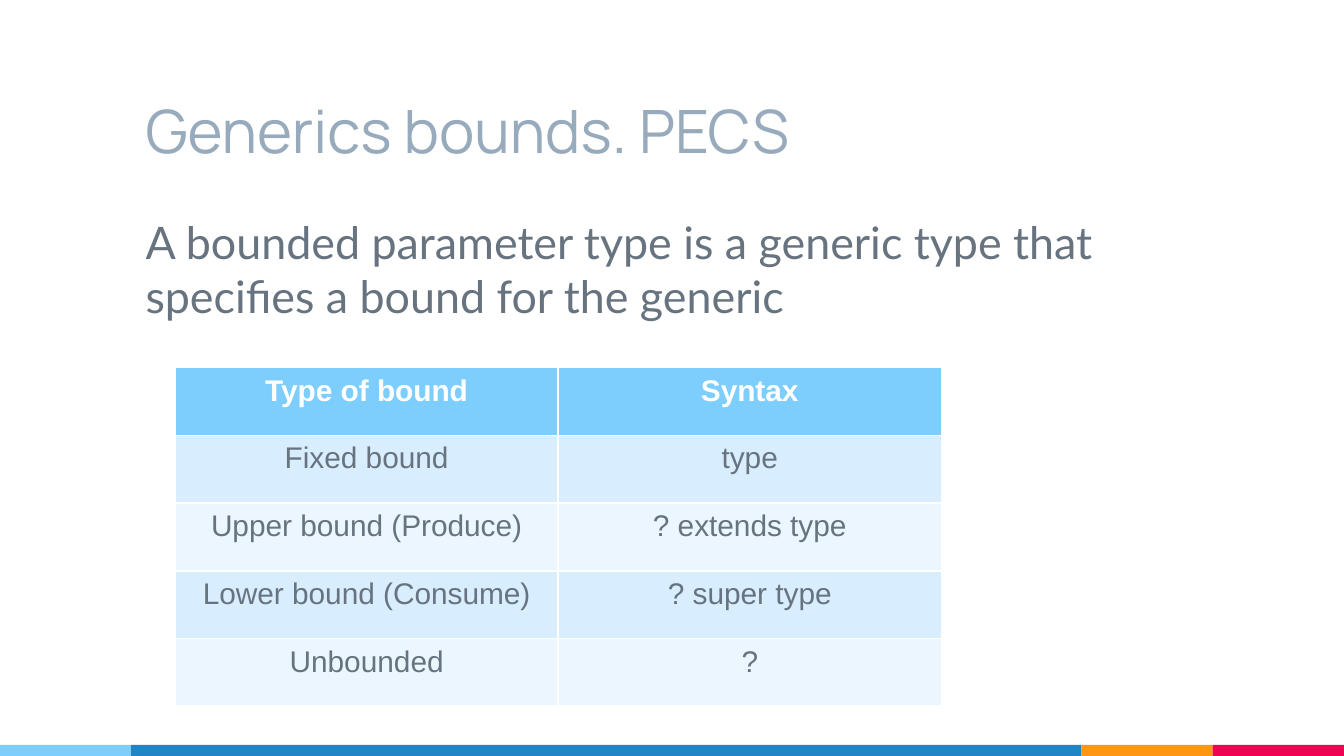
"""Build the slide on generics bounds, with a table of bound types."""
import pptx
import pptx.dml.color
import pptx.enum.shapes
import pptx.enum.text
import pptx.util
import lxml.etree

Cm = pptx.util.Cm
Pt = pptx.util.Pt
ALIGN = pptx.enum.text.PP_ALIGN
ANCHOR = pptx.enum.text.MSO_ANCHOR


def paint(fill, color):
    """Fill with a solid colour given as a hex string."""
    fill.solid()
    fill.fore_color.rgb = pptx.dml.color.RGBColor.from_string(color)


def write(text_frame, text, color, alignment, font_format):
    """Set the text of a frame and format its paragraph."""
    text_frame.text = text
    paragraph = text_frame.paragraphs[0]
    paragraph.alignment = alignment
    font = paragraph.runs[0].font
    for name, value in font_format.items():
        setattr(font, name, value)
    paint(font.fill, color)
    return paragraph


presentation = pptx.Presentation()
presentation.slide_width = Cm(25.4)
presentation.slide_height = Cm(14.29)
slide = presentation.slides.add_slide(presentation.slide_layouts[1])
title, body = slide.placeholders

placements = [
    (title, {"left": Cm(2.5), "top": Cm(1), "width": Cm(17.95), "height": Cm(2.38)}, ANCHOR.BOTTOM),
    (body, {"left": Cm(2.5), "top": Cm(3.81), "width": Cm(21.77), "height": Cm(9.85)}, ANCHOR.TOP),
]
for shape, position, anchor in placements:
    frame_format = {
        "margin_left": Cm(0.25), "margin_right": Cm(0.25),
        "margin_top": Cm(0.25), "margin_bottom": Cm(0.25),
        "vertical_anchor": anchor, "word_wrap": True,
        "auto_size": pptx.enum.text.MSO_AUTO_SIZE.NONE,
    }
    for target, values in [(shape, position), (shape.text_frame, frame_format)]:
        for name, value in values.items():
            setattr(target, name, value)

write(title.text_frame, "Generics bounds. PECS", "97ABBC", ALIGN.LEFT,
      {"name": "Manrope", "size": Pt(32)})
paragraph = write(
    body.text_frame,
    "A bounded parameter type is a generic type that specifies a bound for the generic",
    "677480", ALIGN.LEFT, {"name": "Lato", "size": Pt(24)})
paragraph.space_before = Pt(6)
properties = paragraph._p.get_or_add_pPr()
properties.set("marL", "0")
properties.set("indent", "0")
lxml.etree.SubElement(properties, pptx.oxml.ns.qn("a:buNone"))

left = 0
for width, color in [(2.48, "7ECEFD"), (17.96, "2185C5"), (2.48, "FF9715"), (2.48, "F20253")]:
    bar = slide.shapes.add_shape(
        pptx.enum.shapes.MSO_SHAPE.RECTANGLE, Cm(left), Cm(14.08), Cm(width), Cm(0.21))
    bar.shadow.inherit = False
    bar.line.fill.background()
    paint(bar.fill, color)
    left += width

rows = [
    ("Type of bound", "Syntax"),
    ("Fixed bound", "type"),
    ("Upper bound (Produce)", "? extends type"),
    ("Lower bound (Consume)", "? super type"),
    ("Unbounded", "?"),
]
table = slide.shapes.add_table(
    len(rows), 2, Cm(3.31), Cm(6.95), Cm(14.48), Cm(6.4)).table
for row_index, row in enumerate(rows):
    is_header = row_index == 0
    row_fill = "7ECEFD" if is_header else ("ECF6FF", "D8EDFE")[row_index % 2]
    for column_index, text in enumerate(row):
        cell = table.cell(row_index, column_index)
        paint(cell.fill, row_fill)
        write(cell.text_frame, text, "FFFFFF" if is_header else "677480", ALIGN.CENTER,
              {"name": "Arial", "size": Pt(16), "bold": is_header})

presentation.save("out.pptx")
